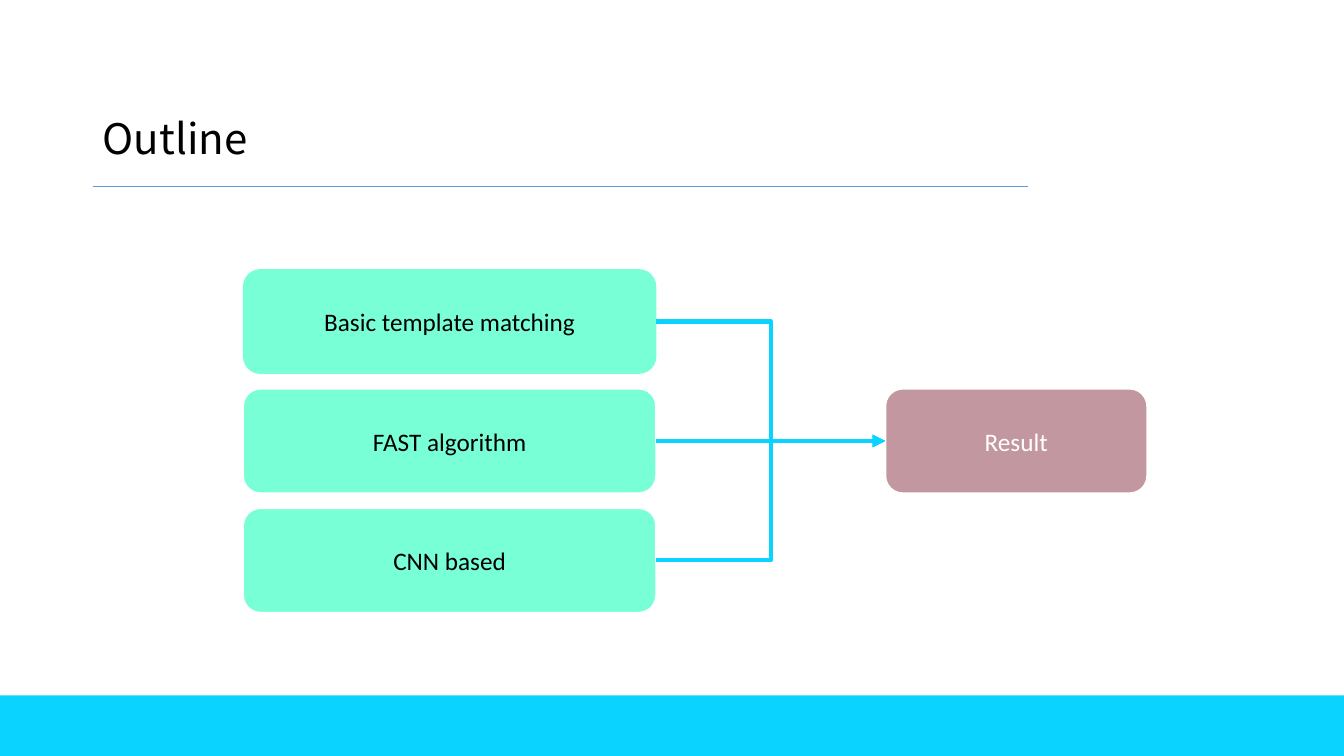
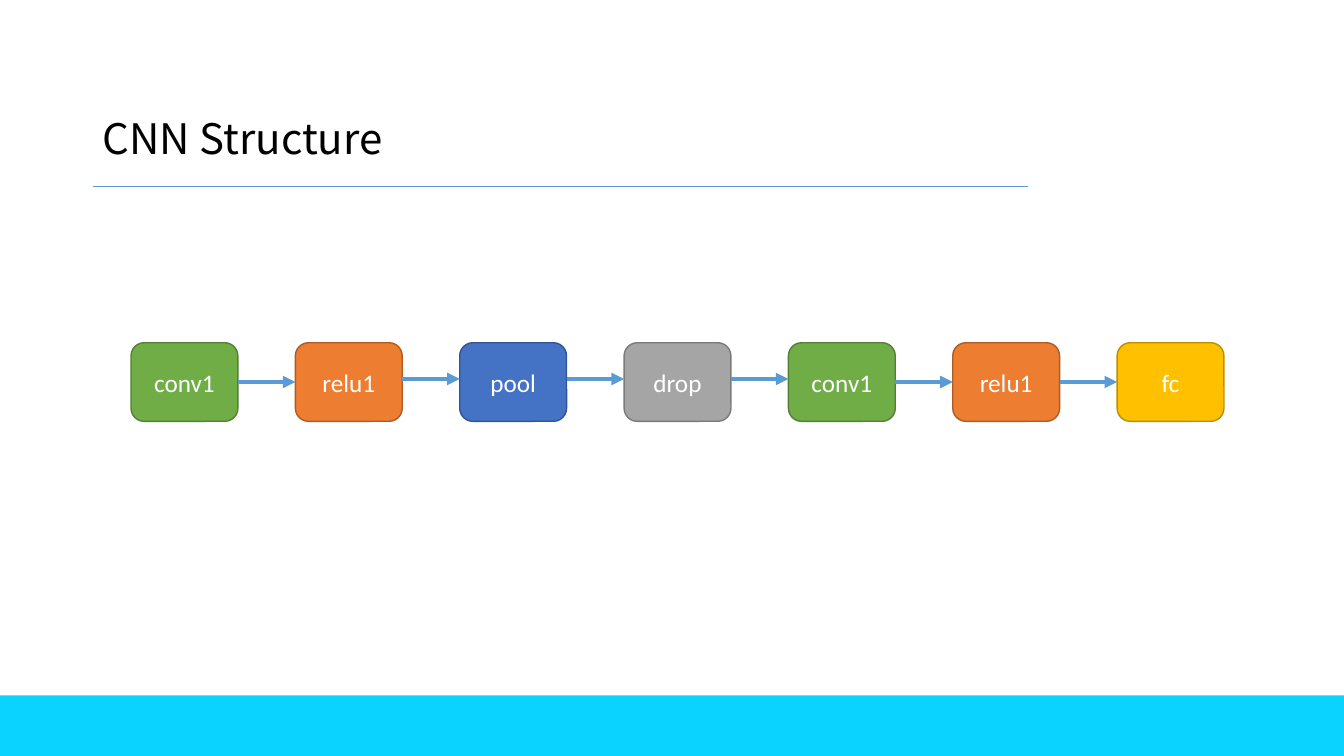
from dataclasses import dataclass

from lxml import etree
from pptx import Presentation
from pptx.dml.color import RGBColor
from pptx.enum.shapes import MSO_CONNECTOR as CONN, MSO_SHAPE as SHAPE
from pptx.enum.text import MSO_ANCHOR as ANCHOR, PP_ALIGN as ALIGN
from pptx.oxml.ns import qn
from pptx.util import Inches, Pt

LEFT_SIDE, RIGHT_SIDE = 1, 3


@dataclass(frozen=True)
class Theme:
    title_font: str = "Noto Sans CJK KR"
    body_font: str = "Calibri"
    title_size: int = 30
    body_size: int = 18
    arrow_width: int = 3
    black: str = "000000"
    white: str = "FFFFFF"
    cyan: str = "0AD3FF"
    blue: str = "5B9BD5"
    mint: str = "78FFD6"
    rose: str = "C3979F"
    # Layer colours: fill and outline
    green: tuple = ("70AD47", "538035")
    orange: tuple = ("ED7D31", "AF5C24")
    navy: tuple = ("4472C4", "325491")
    gray: tuple = ("A5A5A5", "7A7A7A")
    gold: tuple = ("FFC000", "BD8E00")


class Deck:
    def __init__(self, theme):
        self.theme = theme
        self.prs = Presentation()
        self.prs.slide_width, self.prs.slide_height = Inches(13.33), Inches(7.5)
        self.slide = None

    def new_slide(self, title):
        """Start a slide with its title, rule and bottom band."""
        t = self.theme
        self.slide = self.prs.slides.add_slide(self.prs.slide_layouts[6])
        self.shape(SHAPE.RECTANGLE, 0, 6.9, 13.33, 0.6, t.cyan)
        self.title(title)
        self.line((0.92, 1.85), (10.2, 1.85), t.blue, 0.5)

    def title(self, text):
        t = self.theme
        sp = self.slide.shapes.add_textbox(
            Inches(0.92), Inches(0.95), Inches(11.5), Inches(0.9))
        p = self.set_text(sp, text, t.title_font, t.title_size, t.black)
        p.line_spacing = 0.9

    def set_text(self, sp, text, font, size, color):
        tf = sp.text_frame
        tf.word_wrap = True
        tf.vertical_anchor = ANCHOR.MIDDLE
        p = tf.paragraphs[0]
        p.text = text
        p.font.name, p.font.size = font, Pt(size)
        p.font.color.rgb = RGBColor.from_string(color)
        return p

    def shape(self, kind, x, y, w, h, fill, outline=None, width=1):
        sp = self.slide.shapes.add_shape(
            kind, Inches(x), Inches(y), Inches(w), Inches(h))
        sp.shadow.inherit = False
        sp.fill.solid()
        sp.fill.fore_color.rgb = RGBColor.from_string(fill)
        if outline:
            sp.line.color.rgb = RGBColor.from_string(outline)
            sp.line.width = Pt(width)
        else:
            sp.line.fill.background()
        return sp

    def box(self, text, x, y, w, h, fill, outline=None, width=1, color=None):
        t = self.theme
        sp = self.shape(SHAPE.ROUNDED_RECTANGLE, x, y, w, h, fill, outline, width)
        p = self.set_text(sp, text, t.body_font, t.body_size, color or t.white)
        p.alignment = ALIGN.CENTER
        return sp

    def line(self, start, end, color, width, kind=CONN.STRAIGHT, arrow=False):
        cx = self.slide.shapes.add_connector(
            kind, *(Inches(v) for v in (*start, *end)))
        cx.line.color.rgb = RGBColor.from_string(color)
        cx.line.width = Pt(width)
        props = cx.element.spPr
        if arrow:
            etree.SubElement(props.find(qn("a:ln")), qn("a:tailEnd"), type="triangle")
        etree.SubElement(props, qn("a:effectLst"))
        return cx

    def link(self, source, target, color, kind=CONN.STRAIGHT):
        """Join the right side of source to the left side of target."""
        cx = self.line((0, 0), (0, 0), color, self.theme.arrow_width, kind, True)
        cx.begin_connect(source, RIGHT_SIDE)
        cx.end_connect(target, LEFT_SIDE)


def outline_slide(deck):
    t = deck.theme
    deck.new_slide("Outline")
    x, top, bottom, w, h = 2.41, 2.67, 5.04, 4.1, 1.04
    pitch = (bottom - top) / 2
    methods = [("Basic template matching", None),
               ("FAST algorithm", t.white),
               ("CNN based", t.white)]
    boxes = [deck.box(text, x, top + i * pitch, w, h, t.mint, outline, 1.5, t.black)
             for i, (text, outline) in enumerate(methods)]
    result = deck.box("Result", 8.78, top + pitch, 2.6, h, t.rose, t.white, 1.5)
    for sp, kind in zip(boxes, (CONN.ELBOW, CONN.STRAIGHT, CONN.ELBOW)):
        deck.link(sp, result, t.cyan, kind)


def structure_slide(deck):
    t = deck.theme
    deck.new_slide("CNN Structure")
    x, y, w, h, pitch = 1.3, 3.4, 1.06, 0.78, 1.63
    layers = [("conv1", t.green), ("relu1", t.orange), ("pool", t.navy),
              ("drop", t.gray), ("conv1", t.green), ("relu1", t.orange),
              ("fc", t.gold)]
    boxes = [deck.box(text, x + i * pitch, y, w, h, *colors)
             for i, (text, colors) in enumerate(layers)]
    raised, raised_y = (1, 2, 3), 3.76  # arrows just above the box middles
    for i, (source, target) in enumerate(zip(boxes, boxes[1:])):
        if i in raised:
            left = x + i * pitch
            deck.line((left + w, raised_y), (left + pitch, raised_y),
                      t.blue, t.arrow_width, arrow=True)
        else:
            deck.link(source, target, t.blue)


def main():
    deck = Deck(Theme())
    outline_slide(deck)
    structure_slide(deck)
    deck.prs.save("out.pptx")


if __name__ == "__main__":
    main()
